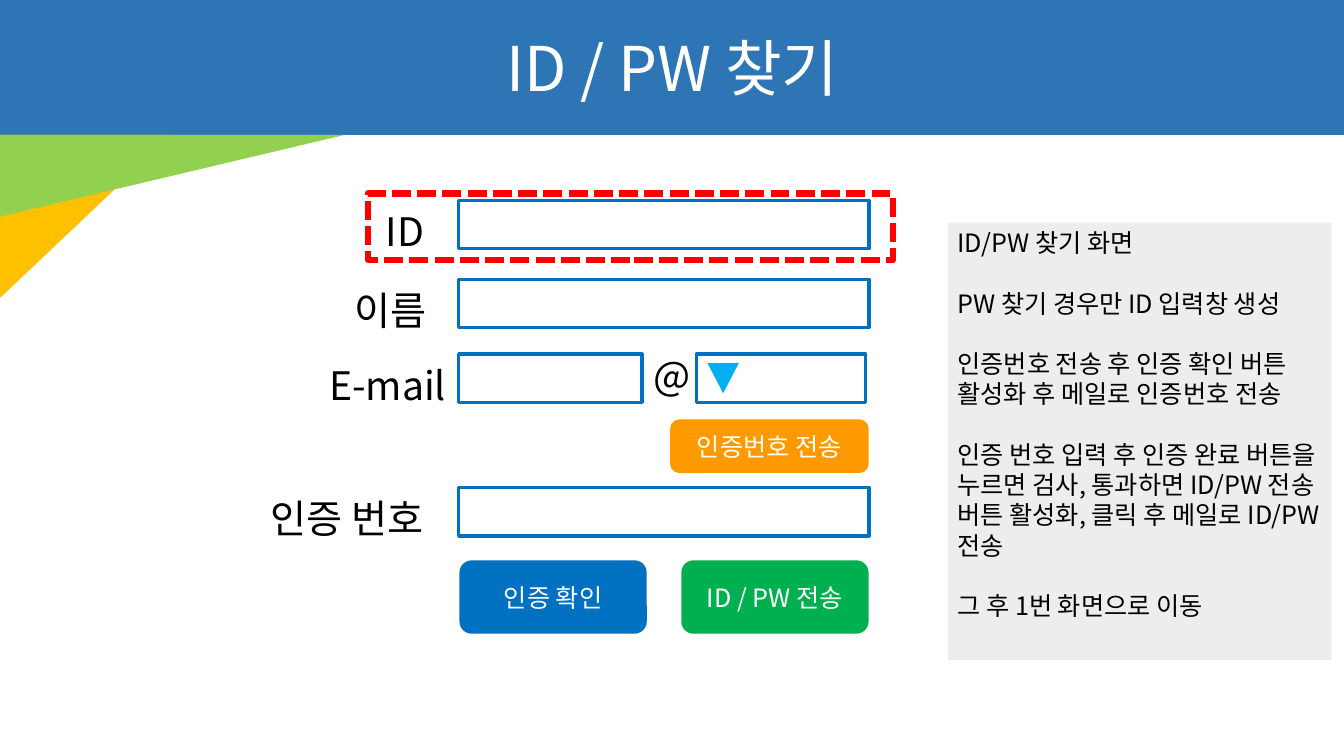
from dataclasses import dataclass

from pptx import Presentation
from pptx.dml.color import RGBColor
from pptx.enum.dml import MSO_LINE
from pptx.enum.shapes import MSO_SHAPE
from pptx.enum.text import MSO_ANCHOR, PP_ALIGN
from pptx.oxml.ns import qn
from pptx.util import Cm, Pt

RECT = MSO_SHAPE.RECTANGLE
ROUNDED = MSO_SHAPE.ROUNDED_RECTANGLE
TRIANGLE = MSO_SHAPE.ISOSCELES_TRIANGLE
RIGHT_TRIANGLE = MSO_SHAPE.RIGHT_TRIANGLE
DASHED = MSO_LINE.SQUARE_DOT
LEFT, CENTER = PP_ALIGN.LEFT, PP_ALIGN.CENTER
TOP, MIDDLE = MSO_ANCHOR.TOP, MSO_ANCHOR.MIDDLE

FONT = "Noto Sans CJK KR"
WHITE, BLACK, BLUE = "FFFFFF", "000000", "0070C0"
SLIDE_WIDTH, SLIDE_HEIGHT = 33.87, 19.05
BANNER_HEIGHT = 3.4
FIELD_LEFT, FIELD_WIDTH, FIELD_HEIGHT = 11.56, 10.34, 1.22


@dataclass
class Field:
    label: str
    label_left: float
    top: float
    width: float = FIELD_WIDTH


@dataclass
class Button:
    caption: str
    left: float
    top: float
    width: float
    height: float
    color: str


FIELDS = [
    Field("ID", 9.47, 5.05),
    Field("이름", 8.69, 7.04),
    Field("인증 번호", 6.58, 12.29),
    Field("E-mail", 8.05, 8.92, 4.62),
]
BUTTONS = [
    Button("인증번호 전송", 16.89, 10.57, 5.0, 1.35, "FF9900"),
    Button("인증 확인", 11.58, 14.12, 4.72, 1.85, BLUE),
    Button("ID / PW 전송", 17.17, 14.12, 4.72, 1.85, "00B050"),
]
NOTES = [
    "ID/PW 찾기 화면",
    "PW 찾기 경우만 ID 입력창 생성",
    "인증번호 전송 후 인증 확인 버튼 활성화 후 메일로 인증번호 전송",
    "인증 번호 입력 후 인증 완료 버튼을 누르면 검사, 통과하면 ID/PW 전송 버튼 활성화, "
    "클릭 후 메일로 ID/PW 전송",
    "그 후 1번 화면으로 이동",
]


def rgb(value: str) -> RGBColor:
    return RGBColor.from_string(value)


def add_block(slide, kind, left: float, top: float, width: float, height: float, *,
              fill: str = "", line: str = "", weight: float = 2.25, flip: bool = False):
    """Add a preset shape; an empty fill or line colour means none."""
    block = slide.shapes.add_shape(kind, Cm(left), Cm(top), Cm(width), Cm(height))
    block.shadow.inherit = False
    if fill:
        block.fill.solid()
        block.fill.fore_color.rgb = rgb(fill)
    else:
        block.fill.background()
    if line:
        block.line.color.rgb = rgb(line)
        block.line.width = Pt(weight)
    else:
        block.line.fill.background()
    if flip:
        block._element.spPr.find(qn("a:xfrm")).set("flipV", "1")
    return block


def write(shape, *paragraphs: str, size: float, color: str, align=LEFT, anchor=TOP,
          gap: float = 0) -> None:
    frame = shape.text_frame
    frame.word_wrap = True
    frame.vertical_anchor = anchor
    for index, text in enumerate(paragraphs):
        paragraph = frame.add_paragraph() if index else frame.paragraphs[0]
        paragraph.alignment = align
        if index and gap:
            paragraph.space_before = Pt(gap)
        run = paragraph.add_run()
        run.text = text
        run.font.size = Pt(size)
        run.font.color.rgb = rgb(color)
        run.font.name = FONT
        east_asian = run._r.get_or_add_rPr().makeelement(qn("a:ea"), {"typeface": FONT})
        run.font._element.find(qn("a:latin")).addnext(east_asian)


def add_label(slide, text: str, left: float, top: float, width: float, height: float,
              size: float = 28, color: str = BLACK, align=LEFT) -> None:
    box = slide.shapes.add_textbox(Cm(left), Cm(top), Cm(width), Cm(height))
    write(box, text, size=size, color=color, align=align)


def add_banner(slide) -> None:
    add_block(slide, RECT, 0, 0, SLIDE_WIDTH, BANNER_HEIGHT, fill="2E75B6")
    add_block(slide, RIGHT_TRIANGLE, 0, BANNER_HEIGHT, 4.34, 4.11, fill="FFC000", flip=True)
    add_block(slide, RIGHT_TRIANGLE, 0, BANNER_HEIGHT, 8.69, 2.06, fill="92D050", flip=True)
    add_label(slide, "ID / PW 찾기", 10.9, 0.64, 12.09, 2.13, 44, WHITE, CENTER)


def add_form(slide) -> None:
    for field in FIELDS:
        add_block(slide, RECT, FIELD_LEFT, field.top, field.width, FIELD_HEIGHT, line=BLUE)
        add_label(slide, field.label, field.label_left, field.top + 0.05,
                  FIELD_LEFT - field.label_left, 1.02)
    email_top = FIELDS[-1].top
    add_label(slide, "@", 16.21, email_top - 0.2, 1.4, 1.02)
    add_block(slide, RECT, 17.55, email_top, 4.27, FIELD_HEIGHT, line=BLUE)
    add_block(slide, TRIANGLE, 17.83, email_top + 0.23, 0.79, 0.76, fill="00B0F0", flip=True)

    id_highlight = add_block(slide, RECT, 9.27, 4.88, 13.23, 1.68, line="FF0000", weight=4.5)
    id_highlight.line.dash_style = DASHED
    for button in BUTTONS:
        face = add_block(slide, ROUNDED, button.left, button.top, button.width,
                         button.height, fill=button.color)
        write(face, button.caption, size=18, color=WHITE, align=CENTER, anchor=MIDDLE)


def add_notes_panel(slide) -> None:
    panel = add_block(slide, RECT, 23.88, 5.61, 9.68, 11.02, fill="EDEDED")
    write(panel, *NOTES, size=18, color=BLACK, gap=21.6)


def main() -> None:
    deck = Presentation()
    deck.slide_width, deck.slide_height = Cm(SLIDE_WIDTH), Cm(SLIDE_HEIGHT)
    slide = deck.slides.add_slide(deck.slide_layouts[6])
    add_banner(slide)
    add_form(slide)
    add_notes_panel(slide)
    deck.save("out.pptx")


if __name__ == "__main__":
    main()
